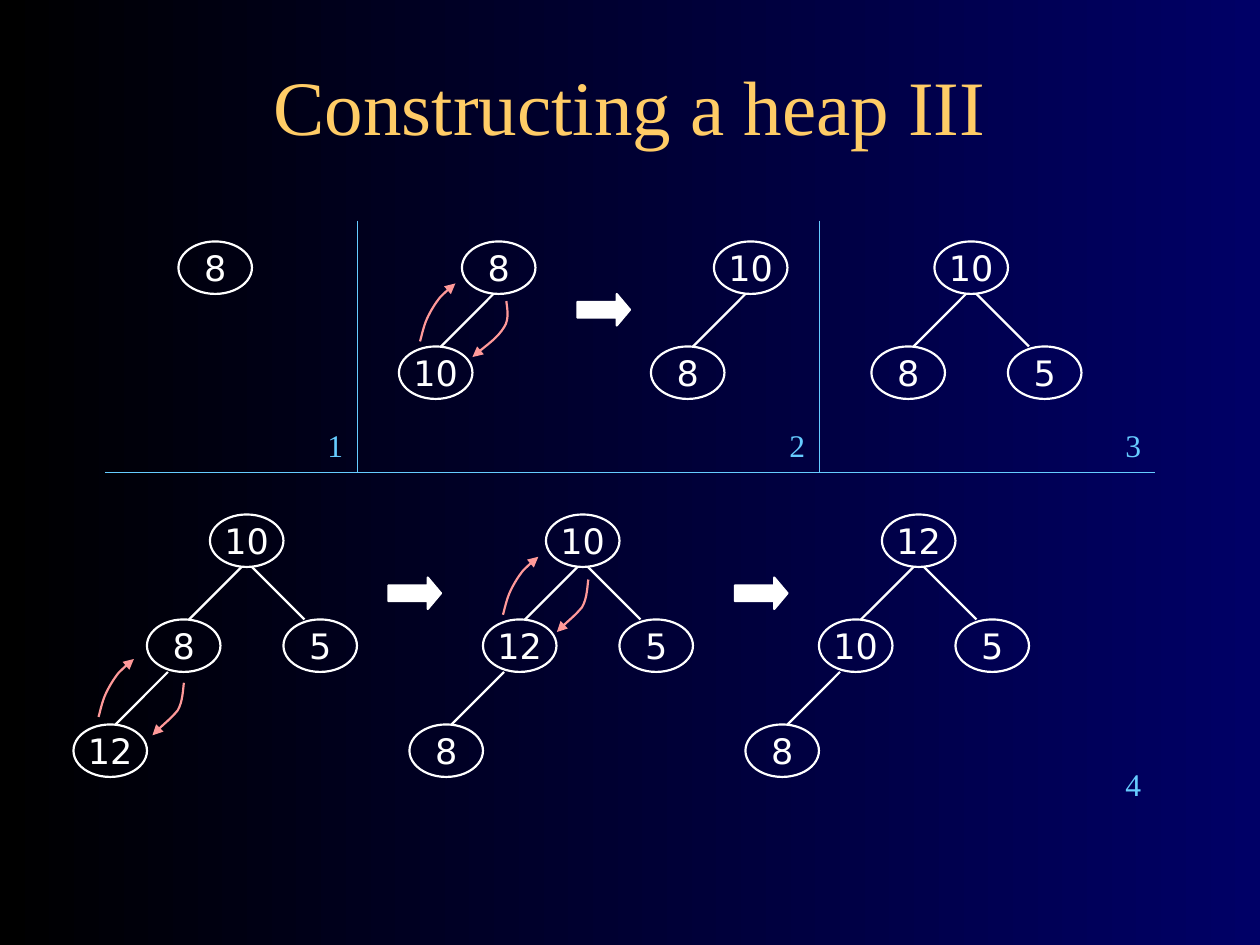
"""Build the slide that shows a heap growing node by node."""
from lxml.etree import SubElement
from pptx import Presentation
from pptx.dml.color import RGBColor
from pptx.enum.shapes import MSO_CONNECTOR, MSO_SHAPE
from pptx.enum.text import MSO_ANCHOR, MSO_AUTO_SIZE, PP_ALIGN
from pptx.oxml.ns import qn
from pptx.util import Pt

THEME = {
    "background": ("000000", "000066"),
    "ink": "FFFFFF",
    "divider": "66CCFF",
    "swap": "FF9999",
    "line": 1.25,
    "hairline": 0.5,
    "title": {
        "font": {"name": "Times New Roman", "size": Pt(44)},
        "color": "FFCC66",
        "frame": {"vertical_anchor": MSO_ANCHOR.MIDDLE, "word_wrap": True,
                  "auto_size": MSO_AUTO_SIZE.NONE},
        "paragraph": {"alignment": PP_ALIGN.CENTER},
    },
    "node": {
        "font": {"name": "DejaVu Sans", "size": Pt(20)},
        "color": "FFFFFF",
        "frame": {"vertical_anchor": MSO_ANCHOR.MIDDLE, "word_wrap": False},
        "paragraph": {"alignment": PP_ALIGN.CENTER},
    },
    "step": {
        "font": {"name": "Times New Roman", "size": Pt(18)},
        "color": "66CCFF",
        "frame": {"word_wrap": True, "auto_size": MSO_AUTO_SIZE.SHAPE_TO_FIT_TEXT},
        "paragraph": {"alignment": PP_ALIGN.LEFT, "space_before": Pt(11.2)},
    },
}


def write_text(shape, text, role):
    style = THEME[role]
    frame = shape.text_frame
    frame.text = text
    paragraph = frame.paragraphs[0]
    font = paragraph.runs[0].font
    for target, values in ((frame, style["frame"]), (paragraph, style["paragraph"]),
                           (font, style["font"])):
        for name, value in values.items():
            setattr(target, name, value)
    font.color.rgb = RGBColor.from_string(style["color"])


def draw_line(shapes, start, end, color, width):
    line = shapes.add_connector(MSO_CONNECTOR.STRAIGHT, *map(Pt, (*start, *end)))
    line.line.color.rgb = RGBColor.from_string(color)
    line.line.width = Pt(width)
    SubElement(line._element.spPr, qn("a:effectLst"))


presentation = Presentation()
presentation.slide_width, presentation.slide_height = Pt(720), Pt(540)
slide = presentation.slides.add_slide(presentation.slide_layouts[5])

backdrop = slide.background.fill
backdrop.gradient()
backdrop.gradient_angle = 0
for stop, position, color in zip(backdrop.gradient_stops, (0, 1), THEME["background"]):
    stop.position = position
    stop.color.rgb = RGBColor.from_string(color)

title = slide.shapes.title
title.left, title.top, title.width, title.height = map(Pt, (24, 30, 672, 60))
write_text(title, "Constructing a heap III", "title")

for start, end in (((60, 270), (660, 270)), ((204, 126), (204, 270)),
                   ((468, 126), (468, 270))):
    draw_line(slide.shapes, start, end, THEME["divider"], THEME["hairline"])

NODE_OFFSETS = {"root": (0, 0), "left": (-36, 60), "right": (42, 60), "grandchild": (-78, 120)}
EDGE_OFFSETS = {"left": ((18, 30), (-12, 60)), "right": ((24, 30), (54, 60)),
                "grandchild": ((-24, 90), (-54, 120))}
RISE = ((0.7, -2.2), (2, -8.6), (4, -13), (6, -17.3), (8.6, -21.6),
        (11.5, -25.2), (14.4, -28.1), (18.4, -31.7), (20.2, -33.1))
SINK = ((-0.5, 2.4), (-0.5, 10.8), (-3.6, 15.8), (-7.2, 20.2), (-15, 26.6), (-18, 30))
WIDE_SINK = ((0, 2.2), (2.2, 10.1), (-1.4, 15.1), (-5, 20.9), (-15.8, 28.8), (-19.4, 32))

heaps = (
    ((102, 138), {"root": "8"}, ()),
    ((264, 138), {"root": "8", "left": "10"},
     (((240, 195.1), RISE), ((289.4, 172), WIDE_SINK))),
    ((408, 138), {"root": "10", "left": "8"}, ()),
    ((534, 138), {"root": "10", "left": "8", "right": "5"}, ()),
    ((120, 294), {"root": "10", "left": "8", "right": "5", "grandchild": "12"},
     (((56.3, 409.7), RISE), ((105.1, 390.2), SINK))),
    ((312, 294), {"root": "10", "left": "12", "right": "5", "grandchild": "8"},
     (((287.4, 351.3), RISE), ((336.2, 331.2), SINK))),
    ((504, 294), {"root": "12", "left": "10", "right": "5", "grandchild": "8"}, ()),
)

for (root_x, root_y), keys, swaps in heaps:
    tree = slide.shapes.add_group_shape().shapes if len(keys) > 1 else slide.shapes
    for place, key in keys.items():
        dx, dy = NODE_OFFSETS[place]
        node = tree.add_shape(MSO_SHAPE.OVAL, Pt(root_x + dx), Pt(root_y + dy), Pt(42), Pt(30))
        node.shadow.inherit = False
        node.fill.background()
        node.line.color.rgb = RGBColor.from_string(THEME["ink"])
        node.line.width = Pt(THEME["line"])
        write_text(node, key, "node")
        if place in EDGE_OFFSETS:
            start, end = [(root_x + x, root_y + y) for x, y in EDGE_OFFSETS[place]]
            draw_line(tree, start, end, THEME["ink"], THEME["line"])

    for (x, y), offsets in swaps:
        builder = slide.shapes.build_freeform(Pt(x), Pt(y))
        builder.add_line_segments([(Pt(x + dx), Pt(y + dy)) for dx, dy in offsets], close=False)
        swap = builder.convert_to_shape()
        swap.shadow.inherit = False
        swap.fill.background()
        swap.line.color.rgb = RGBColor.from_string(THEME["swap"])
        swap.line.width = Pt(THEME["line"])
        SubElement(swap.line._get_or_add_ln(), qn("a:tailEnd"), type="triangle")
        outline = next(swap._element.iter(qn("a:path")))
        segments = outline.findall(qn("a:lnTo"))
        for first in range(0, len(segments), 3):
            curve = SubElement(outline, qn("a:cubicBezTo"))
            for segment in segments[first:first + 3]:
                curve.append(segment[0])
                outline.remove(segment)

for x, y in ((330, 168), (222, 330), (420, 330)):
    arrow = slide.shapes.add_shape(MSO_SHAPE.RIGHT_ARROW, Pt(x), Pt(y), Pt(30), Pt(18))
    arrow.adjustments[0], arrow.adjustments[1] = 0.5, 0.42
    arrow.shadow.inherit = False
    arrow.fill.solid()
    arrow.fill.fore_color.rgb = RGBColor.from_string(THEME["ink"])
    arrow.line.color.rgb = RGBColor.from_string(THEME["ink"])
    arrow.line.width = Pt(THEME["line"])

step_corners = ((180, 240), (444, 240), (636, 240), (636, 433.5))
for number, (x, y) in enumerate(step_corners, start=1):
    step = slide.shapes.add_textbox(Pt(x), Pt(y), Pt(30), Pt(28.8))
    write_text(step, str(number), "step")

presentation.save("out.pptx")
